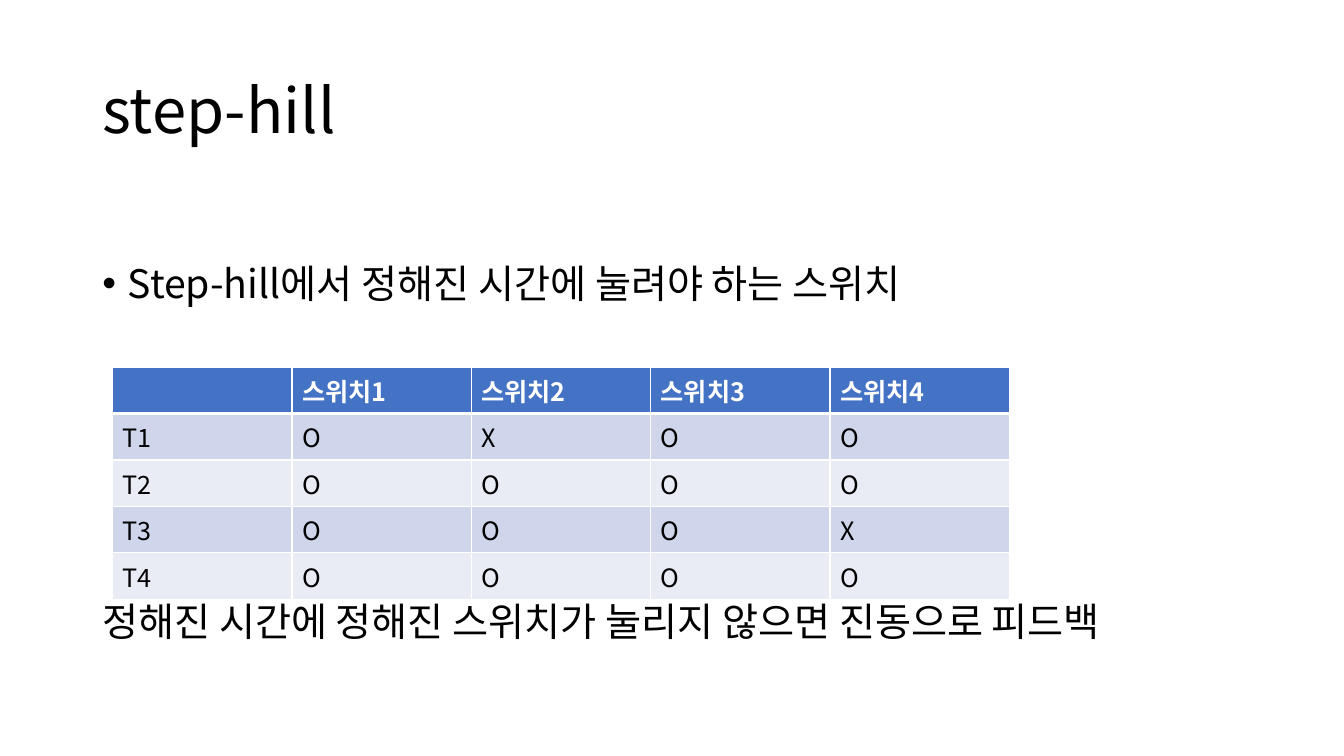
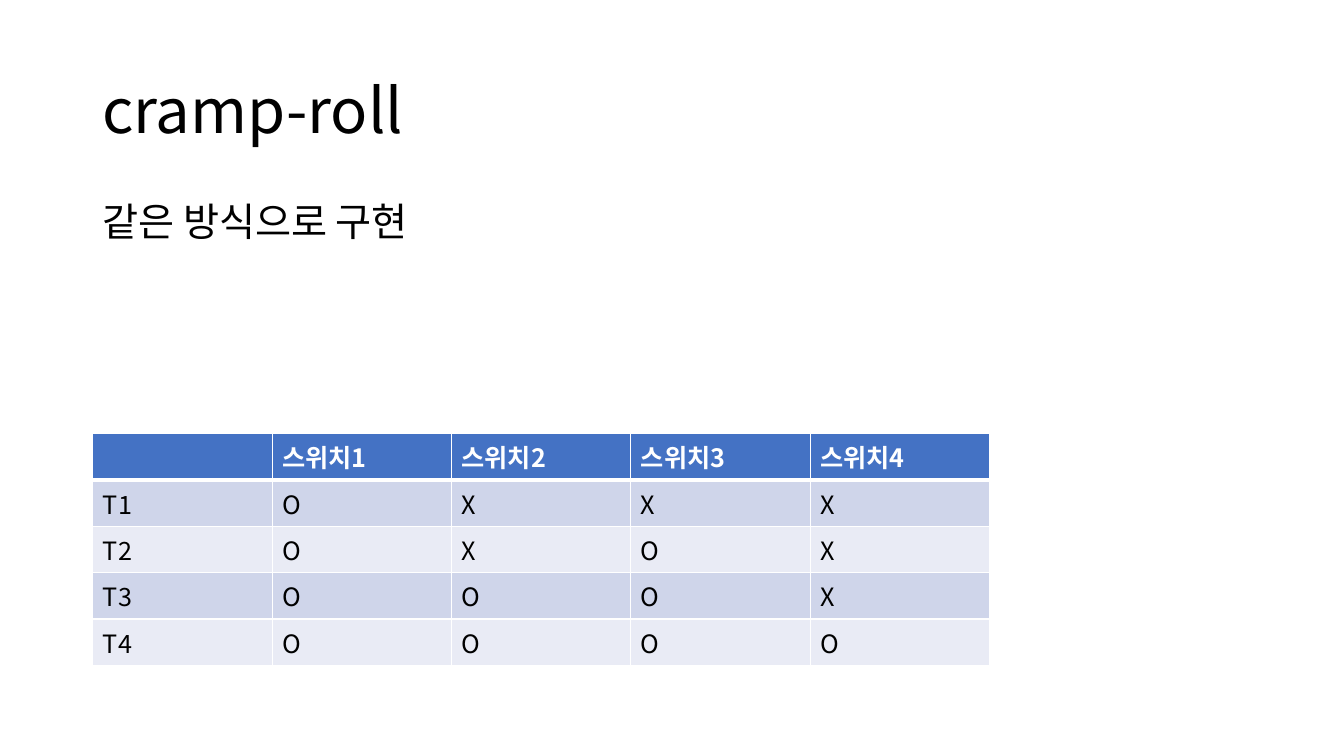
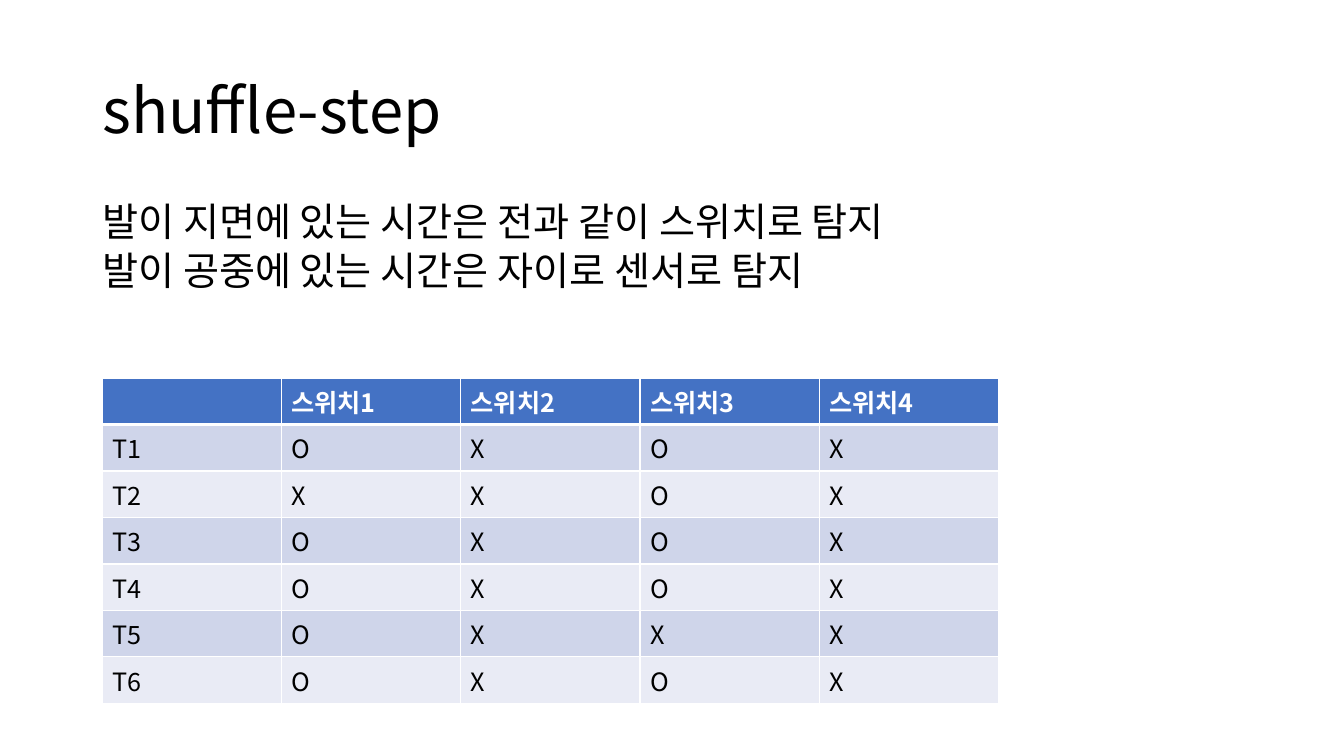
"""Build three slides on tap steps and the switches each one presses."""
from dataclasses import dataclass

from lxml import etree
from pptx import Presentation
from pptx.dml.color import RGBColor
from pptx.enum.text import MSO_ANCHOR
from pptx.oxml.ns import qn
from pptx.util import Cm, Pt

TOP = MSO_ANCHOR.TOP
MID = MSO_ANCHOR.MIDDLE


@dataclass(frozen=True)
class Theme:
    face: str = "Noto Sans CJK KR"
    ink: str = "000000"
    white: str = "FFFFFF"
    head: str = "4472C4"
    bands: tuple = ("CFD5EA", "E9EBF5")
    title: int = 44
    body: int = 28
    cell: int = 18
    thin: int = 1
    thick: int = 3


class Deck:
    def __init__(self, theme):
        self.theme = theme
        self.prs = Presentation()
        self.prs.slide_width = Cm(33.87)
        self.prs.slide_height = Cm(19.05)
        self.slide = None

    def page(self, title):
        self.slide = self.prs.slides.add_slide(self.prs.slide_layouts[6])
        self.text([title], 1.01, 3.68, self.theme.title, MID, 0.9)

    def style(self, para, text, size, color, bold=False):
        run = para.add_run()
        run.text = text
        form = {"name": self.theme.face, "size": Pt(size), "bold": bold}
        for key, value in form.items():
            setattr(run.font, key, value)
        run.font.color.rgb = RGBColor.from_string(color)
        props = run.font._element
        etree.SubElement(props, qn("a:ea"), typeface=self.theme.face)

    def text(self, lines, top, high, size, anchor=TOP, space=0.8, dot=False):
        box = self.slide.shapes.add_textbox(Cm(2.33), Cm(top), Cm(29.21), Cm(high))
        frame = box.text_frame
        frame.word_wrap = True
        frame.vertical_anchor = anchor
        for i, line in enumerate(lines):
            para = frame.add_paragraph() if i else frame.paragraphs[0]
            para.line_spacing = space
            para.space_before = Pt(8 if i else 0)
            if dot:
                self.bullet(para)
            self.style(para, line, size, self.theme.ink)

    def bullet(self, para):
        props = para._p.get_or_add_pPr()
        props.set("marL", str(Cm(0.64)))
        props.set("indent", str(-Cm(0.64)))
        etree.SubElement(props, qn("a:buFont"), typeface="Arial")
        etree.SubElement(props, qn("a:buChar"), char="•")

    def body(self, lines, top=5.08, high=4, dot=False):
        self.text(lines, top, high, self.theme.body, dot=dot)

    def edge(self, cell, sides):
        props = cell._tc.get_or_add_tcPr()
        for side, width in sides.items():
            line = etree.SubElement(props, qn(f"a:ln{side}"), w=str(Pt(width)))
            fill = etree.SubElement(line, qn("a:solidFill"))
            etree.SubElement(fill, qn("a:srgbClr"), val=self.theme.white)

    def grid(self, marks, left, top):
        look = self.theme
        rows = [["", *(f"스위치{n}" for n in range(1, 5))]]
        rows += [[f"T{n}", *row] for n, row in enumerate(marks, 1)]
        wide, high = Cm(4.52), Cm(1.17)
        count = len(rows)
        table = self.slide.shapes.add_table(
            count, 5, Cm(left), Cm(top), wide * 5, high * count).table
        table.first_row = table.horz_banding = False
        for col in table.columns:
            col.width = wide
        for r, row in enumerate(rows):
            table.rows[r].height = high
            head = r == 0
            fill = look.head if head else look.bands[(r - 1) % 2]
            sides = {"L": look.thin, "R": look.thin,
                     "T": look.thick if r == 1 else look.thin,
                     "B": look.thick if head else look.thin}
            for c, text in enumerate(row):
                cell = table.cell(r, c)
                self.edge(cell, sides)
                cell.fill.solid()
                cell.fill.fore_color.rgb = RGBColor.from_string(fill)
                if text:
                    self.style(cell.text_frame.paragraphs[0], text, look.cell,
                               look.white if head else look.ink, head)


def main():
    deck = Deck(Theme())

    deck.page("step-hill")
    deck.body(["Step-hill에서 정해진 시간에 눌려야 하는 스위치"], 6.64, 1.5, True)
    deck.body(["정해진 시간에 정해진 스위치가 눌리지 않으면 진동으로 피드백"], 15.16, 1.5)
    deck.grid(["OXOO", "OOOO", "OOOX", "OOOO"], 2.84, 9.25)

    deck.page("cramp-roll")
    deck.body(["같은 방식으로 구현"])
    deck.grid(["OXXX", "OXOX", "OOOX", "OOOO"], 2.34, 10.92)

    deck.page("shuffle-step")
    deck.body(["발이 지면에 있는 시간은 전과 같이 스위치로 탐지",
               "발이 공중에 있는 시간은 자이로 센서로 탐지"])
    deck.grid(["OXOX", "XXOX", "OXOX", "OXOX", "OXXX", "OXOX"], 2.57, 9.53)

    deck.prs.save("out.pptx")


if __name__ == "__main__":
    main()
